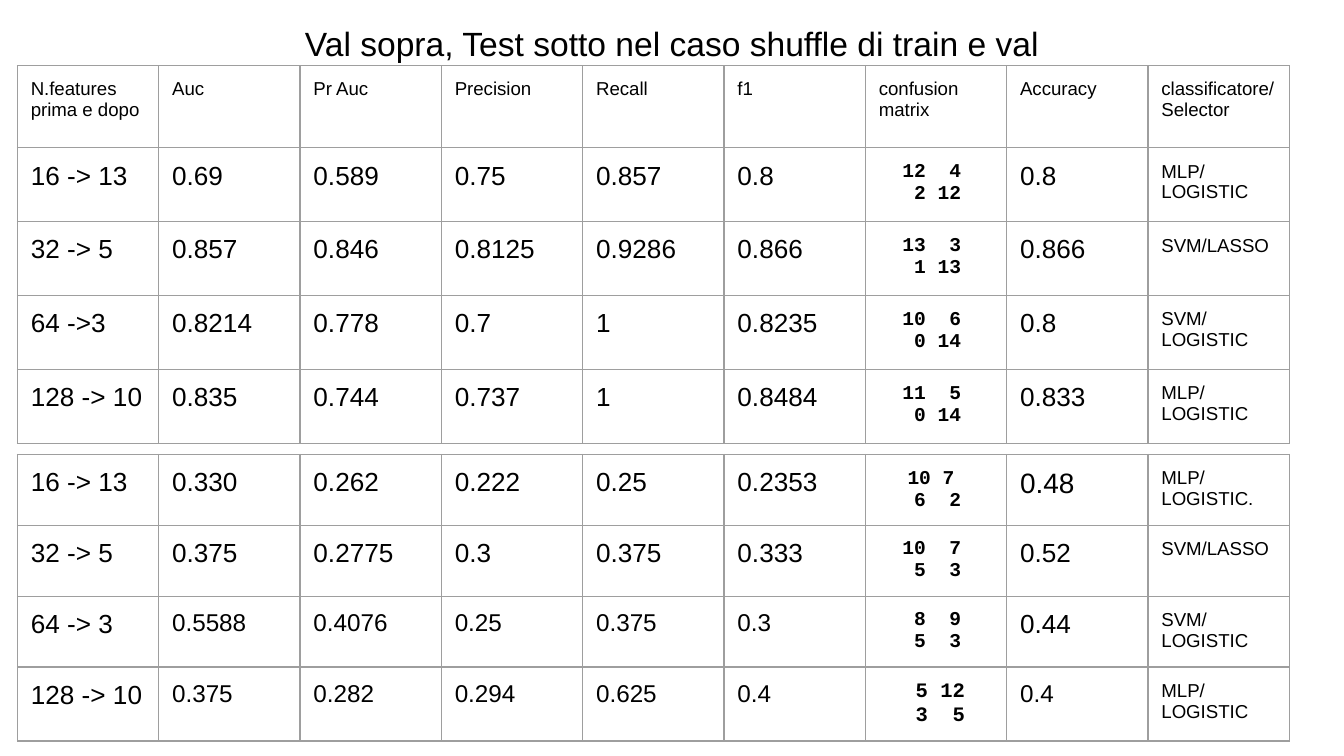
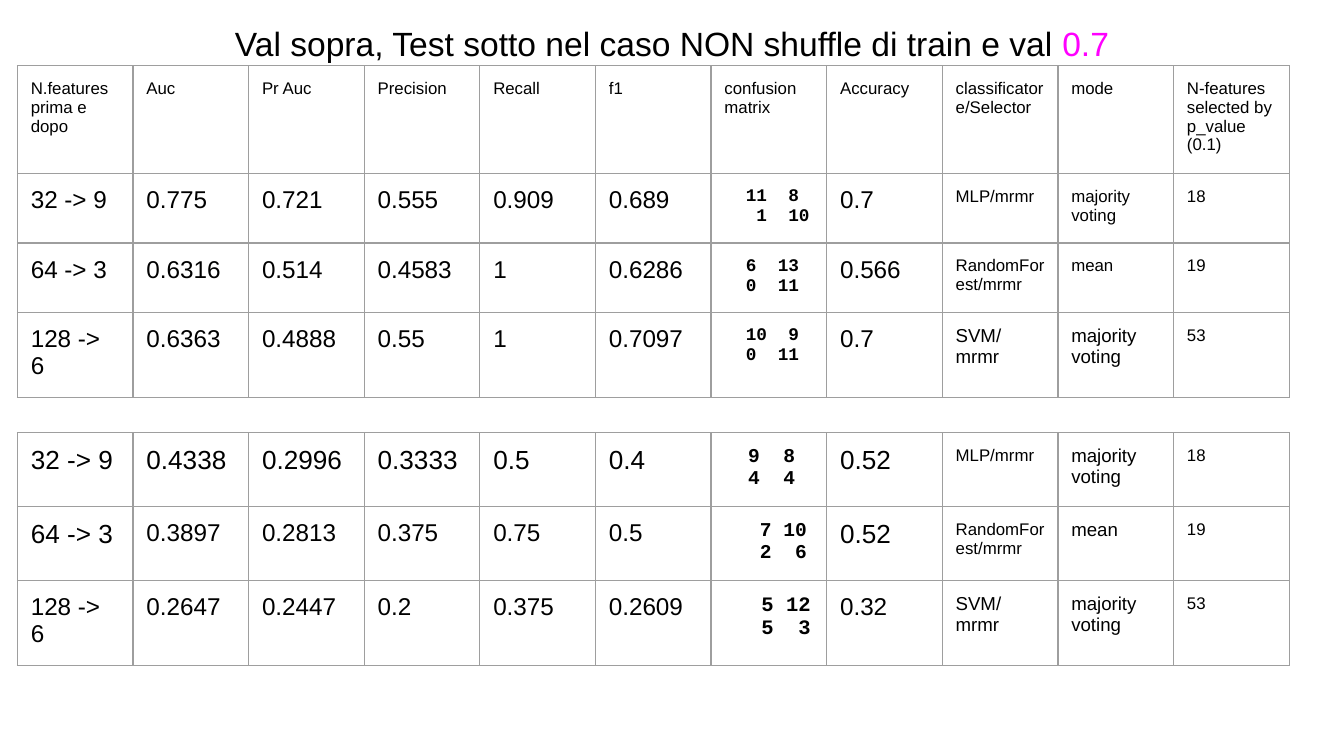
from dataclasses import dataclass

from lxml.etree import SubElement
from pptx import Presentation
from pptx.dml.color import RGBColor
from pptx.enum.text import PP_ALIGN
from pptx.oxml.ns import qn
from pptx.util import Pt

SANS, MONO = "Arial", "Courier New"
INK, GRID, PINK = "000000", "9E9E9E", "FF00FF"
PAD, LEFT, WIDE = 7.2, 9.3, 681.6
TOP, HEAD, ROW, LOW = 35.2, 44, 30, 28


@dataclass
class Mat:
    """Confusion matrix: two lines and the character columns where numbers end."""
    top: str
    low: str
    tops: tuple = (4, 7)
    lows: tuple = (4, 7)


HEADS = ["N.features prima e dopo", "Auc", "Pr Auc", "Precision", "Recall",
         "f1", "confusion matrix", "Accuracy", "classificatore/Selector"]
MORE = ["mode", "N-features selected by p_value (0.1)"]


def color(code):
    """Turn a hex string into a colour."""
    return RGBColor.from_string(code)


def add_run(para, text, size, code=INK, face=SANS, bold=False):
    """Add one styled run."""
    run = para.add_run()
    run.text = text
    font = run.font
    font.size, font.name, font.bold = Pt(size), face, bold
    font.color.rgb = color(code)


def add_mat(frame, mat, size):
    """Write a matrix with its numbers set on right tabs."""
    lines = [(mat.top, mat.tops), (mat.low, mat.lows)]
    for i, (text, ends) in enumerate(lines):
        para = frame.add_paragraph() if i else frame.paragraphs[0]
        tabs = SubElement(para._p.get_or_add_pPr(), qn("a:tabLst"))
        for end in ends:
            SubElement(tabs, qn("a:tab"), pos=str(Pt(end * size * 0.6)), algn="r")
        add_run(para, "".join("\t" + num for num in text.split()),
                size, face=MONO, bold=True)


def add_edge(cell):
    """Draw the four borders of a cell."""
    props = cell._tc.get_or_add_tcPr()
    for side in "LRTB":
        line = SubElement(props, qn("a:ln" + side), w=str(Pt(0.75)))
        fill = SubElement(line, qn("a:solidFill"))
        SubElement(fill, qn("a:srgbClr"), val=GRID)


def add_cell(cell, item, size):
    """Fill one cell with text or a matrix."""
    add_edge(cell)
    cell.fill.background()
    cell.margin_left = cell.margin_right = Pt(PAD)
    cell.margin_top = cell.margin_bottom = Pt(PAD)
    if isinstance(item, Mat):
        add_mat(cell.text_frame, item, size)
    else:
        add_run(cell.text_frame.paragraphs[0], item, size)


def add_grid(slide, box, rows, highs):
    """Place a table of (sizes, items) rows in a box of left, top and width."""
    left, top, wide = box
    count = len(rows[0][1])
    table = slide.shapes.add_table(len(rows), count, Pt(left), Pt(top),
                                   Pt(wide), Pt(sum(highs))).table
    table.first_row = table.horz_banding = False
    for col in table.columns:
        col.width = Pt(wide / count)
    for r, (sizes, items) in enumerate(rows):
        table.rows[r].height = Pt(highs[r])
        lead, value, *rest = sizes
        full = [lead] + [value] * 5 + rest
        for c, (item, size) in enumerate(zip(items, full)):
            add_cell(table.cell(r, c), item, size)


def add_title(slide, box, parts):
    """Write the centred title from (text, colour) parts."""
    shape = slide.shapes.add_textbox(*map(Pt, box))
    frame = shape.text_frame
    frame.word_wrap = True
    frame.margin_left = frame.margin_right = Pt(PAD)
    frame.margin_top = frame.margin_bottom = Pt(PAD)
    para = frame.paragraphs[0]
    para.alignment = PP_ALIGN.CENTER
    for text, code in parts:
        add_run(para, text, 18, code)


def add_page(deck, parts, heads, size, val, test, low):
    """Build a slide: title, validation table above, test table below."""
    slide = deck.slides.add_slide(deck.slide_layouts[6])
    add_grid(slide, (LEFT, low, WIDE), test, [LOW] * len(test))
    add_title(slide, (7.2, 5, 705.6, 46), parts)
    rows = [([size] * (len(heads) - 4), heads)] + val
    add_grid(slide, (LEFT, TOP, WIDE), rows, [HEAD] + [ROW] * len(val))


def mix(deck):
    """Build the slide for shuffled data."""
    base = (14, 14, 10.5, 14, 10)
    val = [
        (base, ["16 -> 13", "0.69", "0.589", "0.75", "0.857", "0.8",
                Mat("12 4", "2 12"), "0.8", "MLP/LOGISTIC"]),
        (base, ["32 -> 5", "0.857", "0.846", "0.8125", "0.9286", "0.866",
                Mat("13 3", "1 13"), "0.866", "SVM/LASSO"]),
        (base, ["64 ->3", "0.8214", "0.778", "0.7", "1", "0.8235",
                Mat("10 6", "0 14"), "0.8", "SVM/LOGISTIC"]),
        (base, ["128 -> 10", "0.835", "0.744", "0.737", "1", "0.8484",
                Mat("11 5", "0 14"), "0.833", "MLP/LOGISTIC"]),
    ]
    test = [
        ((14, 14, 10.5, 15, 10),
         ["16 -> 13", "0.330", "0.262", "0.222", "0.25", "0.2353",
          Mat("10 7", "6 2", tops=(4.43, 6.43)), "0.48", "MLP/LOGISTIC."]),
        (base, ["32 -> 5", "0.375", "0.2775", "0.3", "0.375", "0.333",
                Mat("10 7", "5 3"), "0.52", "SVM/LASSO"]),
        ((14, 13, 10.5, 14, 10),
         ["64 -> 3", "0.5588", "0.4076", "0.25", "0.375", "0.3",
          Mat("8 9", "5 3"), "0.44", "SVM/LOGISTIC"]),
        ((14, 13, 11, 13, 10),
         ["128 -> 10", "0.375", "0.282", "0.294", "0.625", "0.4",
          Mat("5 12", "3 5"), "0.4", "MLP/LOGISTIC"]),
    ]
    parts = [("Val sopra, Test sotto nel caso shuffle di train e val", INK)]
    add_page(deck, parts, HEADS, 10, val, test, 243.5)


def keep(deck):
    """Build the slide for data in fixed order."""
    base = (13, 13, 9.5, 13, 9, 9, 9)
    val = [
        (base, ["32 -> 9", "0.775", "0.721", "0.555", "0.909", "0.689",
                Mat("11 8", "1 10", lows=(4, 8)), "0.7",
                "MLP/mrmr", "majority voting", "18"]),
        (base, ["64 -> 3", "0.6316", "0.514", "0.4583", "1", "0.6286",
                Mat("6 13", "0 11", (3, 7), (3, 7)), "0.566",
                "RandomForest/mrmr", "mean", "19"]),
        ((13, 13, 9.5, 13, 10, 10, 9),
         ["128 -> 6", "0.6363", "0.4888", "0.55", "1", "0.7097",
          Mat("10 9", "0 11", lows=(3, 7)), "0.7",
          "SVM/mrmr", "majority voting", "53"]),
    ]
    test = [
        ((14, 14, 10.5, 14, 9, 10, 9),
         ["32 -> 9", "0.4338", "0.2996", "0.3333", "0.5", "0.4",
          Mat("9 8", "4 4", (3, 6), (3, 6)), "0.52",
          "MLP/mrmr", "majority voting", "18"]),
        ((14, 13, 10.5, 14, 9, 10, 9),
         ["64 -> 3", "0.3897", "0.2813", "0.375", "0.75", "0.5",
          Mat("7 10", "2 6"), "0.52",
          "RandomForest/mrmr", "mean", "19"]),
        ((13, 13, 11, 13, 10, 10, 9),
         ["128 -> 6", "0.2647", "0.2447", "0.2", "0.375", "0.2609",
          Mat("5 12", "5 3"), "0.32",
          "SVM/mrmr", "majority voting", "53"]),
    ]
    parts = [("Val sopra, Test sotto nel caso NON shuffle di train e val ", INK),
             ("0.7", PINK)]
    add_page(deck, parts, HEADS + MORE, 9, val, test, 231.8)


def main():
    """Build and save the deck."""
    deck = Presentation()
    deck.slide_width, deck.slide_height = Pt(720), Pt(405)
    mix(deck)
    keep(deck)
    deck.save("out.pptx")


if __name__ == "__main__":
    main()
